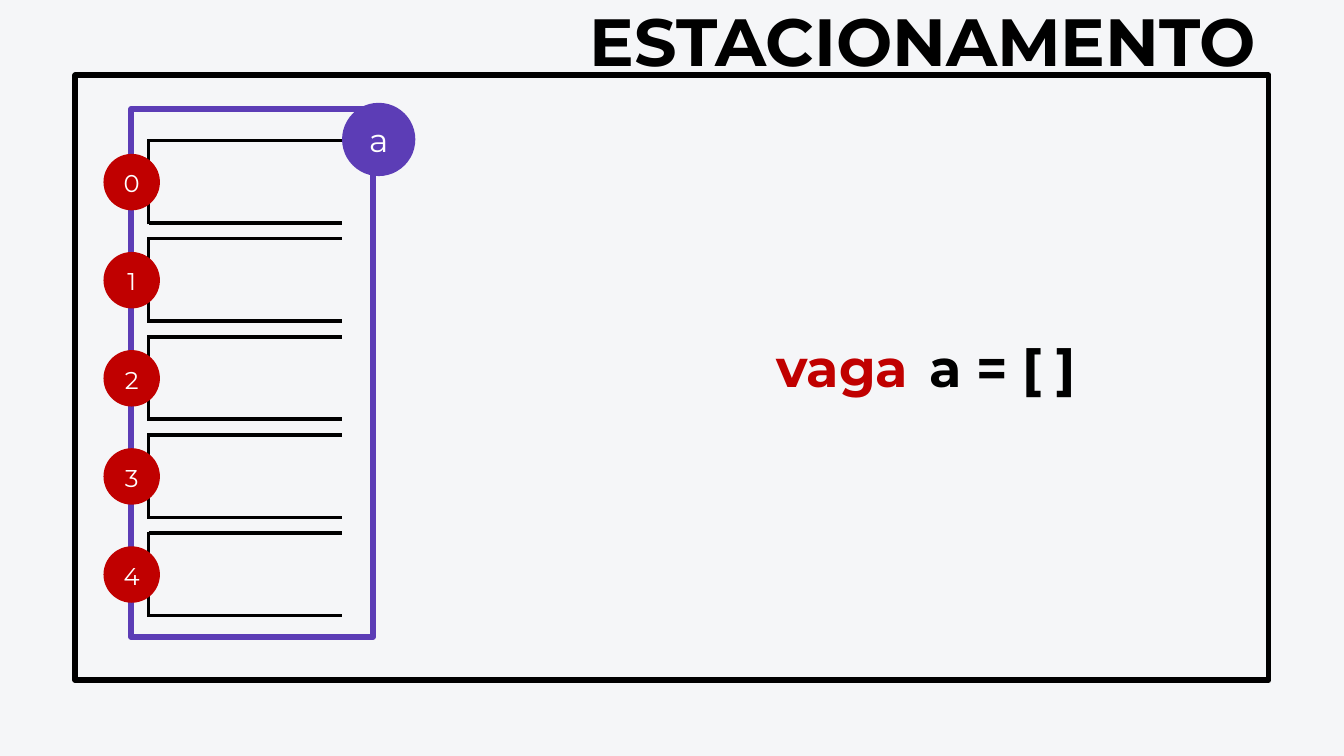
from pptx import Presentation
from pptx.dml.color import RGBColor
from pptx.enum.shapes import MSO_CONNECTOR as Connector, MSO_SHAPE as Shape
from pptx.enum.text import MSO_ANCHOR as Anchor, MSO_AUTO_SIZE as AutoSize, PP_ALIGN as Align
from pptx.oxml.ns import qn
from pptx.util import Emu, Pt
from lxml.etree import SubElement

COLORS = {"paper": "F5F6F8", "ink": "000000", "array": "5C3DB6", "index": "C00000", "white": "FFFFFF"}
FONT = "Montserrat"
SLOT_COUNT = 5
SLOT_PITCH = 146


def px(length):
    """Turn px (100 to the inch) into EMU."""
    return Emu(length * 9144)


def color(name):
    """Look up a palette colour."""
    return RGBColor.from_string(COLORS[name])


def write(frame, text, size, leading, ink, bold=False, margins=(0, 0, 0, 0), anchor=Anchor.TOP):
    """Write one centred run in a text frame."""
    frame.auto_size = AutoSize.NONE
    frame.vertical_anchor = anchor
    frame.margin_left, frame.margin_top, frame.margin_right, frame.margin_bottom = map(px, margins)
    para = frame.paragraphs[0]
    para.alignment = Align.CENTER
    para.line_spacing = Pt(leading)
    span = para.add_run()
    span.text = text
    span.font.name = FONT
    span.font.size = Pt(size)
    span.font.bold = bold
    span.font.color.rgb = color(ink)
    if bold:
        span.font._element.set("spc", "-10")


def add_title(page, left, top, width, height):
    """Place the slide title."""
    title = page.shapes.title
    title.left, title.top, title.width, title.height = map(px, (left, top, width, height))
    title.text_frame.word_wrap = True
    write(title.text_frame, "ESTACIONAMENTO", 71.5, 85.8, "ink", bold=True)


def add_frame(page, left, top, width, height, ink):
    """Draw an unfilled rectangle with a thick outline."""
    frame = page.shapes.add_shape(Shape.RECTANGLE, *map(px, (left, top, width, height)))
    frame.shadow.inherit = False
    frame.fill.background()
    frame.line.color.rgb = color(ink)
    frame.line.width = Pt(6)


def add_line(page, *ends):
    """Draw a black line from one point to another."""
    line = page.shapes.add_connector(Connector.STRAIGHT, *map(px, ends))
    line.line.color.rgb = color("ink")
    line.line.width = Pt(4)
    SubElement(line._element.spPr, qn("a:effectLst"))


def add_slot(page, left, top, width, height):
    """Draw a parking slot that is open on the right."""
    for y in (top, top + height):
        add_line(page, left, y, left + width, y)
    add_line(page, left, top + height + 2, left, top - 2)


def add_badge(page, left, top, side, text, size, leading, fill, lift):
    """Draw a filled circle with a label raised by a bottom margin."""
    badge = page.shapes.add_shape(Shape.OVAL, *map(px, (left, top, side, side)))
    badge.shadow.inherit = False
    badge.fill.solid()
    badge.fill.fore_color.rgb = color(fill)
    badge.line.fill.background()
    badge.text_frame.word_wrap = False
    write(badge.text_frame, text, size, leading, "white", margins=(0, 0, 0, lift), anchor=Anchor.MIDDLE)


def add_array(page, left, top, width, height):
    """Draw the array with its slots, name and indices."""
    for index in range(SLOT_COUNT):
        add_slot(page, left + 26, top + 47 + index * SLOT_PITCH, 288, 123)
    add_frame(page, left, top, width, height, "array")
    add_badge(page, left + width - 46, top - 9, 109, "a", 35, 49, "array", 10)
    for index in range(SLOT_COUNT):
        add_badge(page, left - 41, top + 67 + index * SLOT_PITCH, 84, str(index), 26, 36.4, "index", 4)


def add_code(page, left, top, width, height):
    """Place the two parts of the declaration."""
    for text, ink, offset in (("vaga", "index", 0), ("a = [ ]", "ink", 238)):
        box = page.shapes.add_textbox(*map(px, (left + offset, top, width, height)))
        box.text_frame.word_wrap = True
        write(box.text_frame, text, 56.2, 67.5, ink, bold=True)


def main():
    """Build and save the deck."""
    deck = Presentation()
    deck.slide_width, deck.slide_height = px(2000), px(1125)
    page = deck.slides.add_slide(deck.slide_layouts[5])
    page.background.fill.solid()
    page.background.fill.fore_color.rgb = color("paper")
    add_frame(page, 112, 112, 1776, 900, "ink")
    add_array(page, 195, 162, 360, 786)
    add_title(page, 859, 0, 1029, 119)
    add_code(page, 1042, 499, 423, 93)
    deck.save("out.pptx")


if __name__ == "__main__":
    main()
